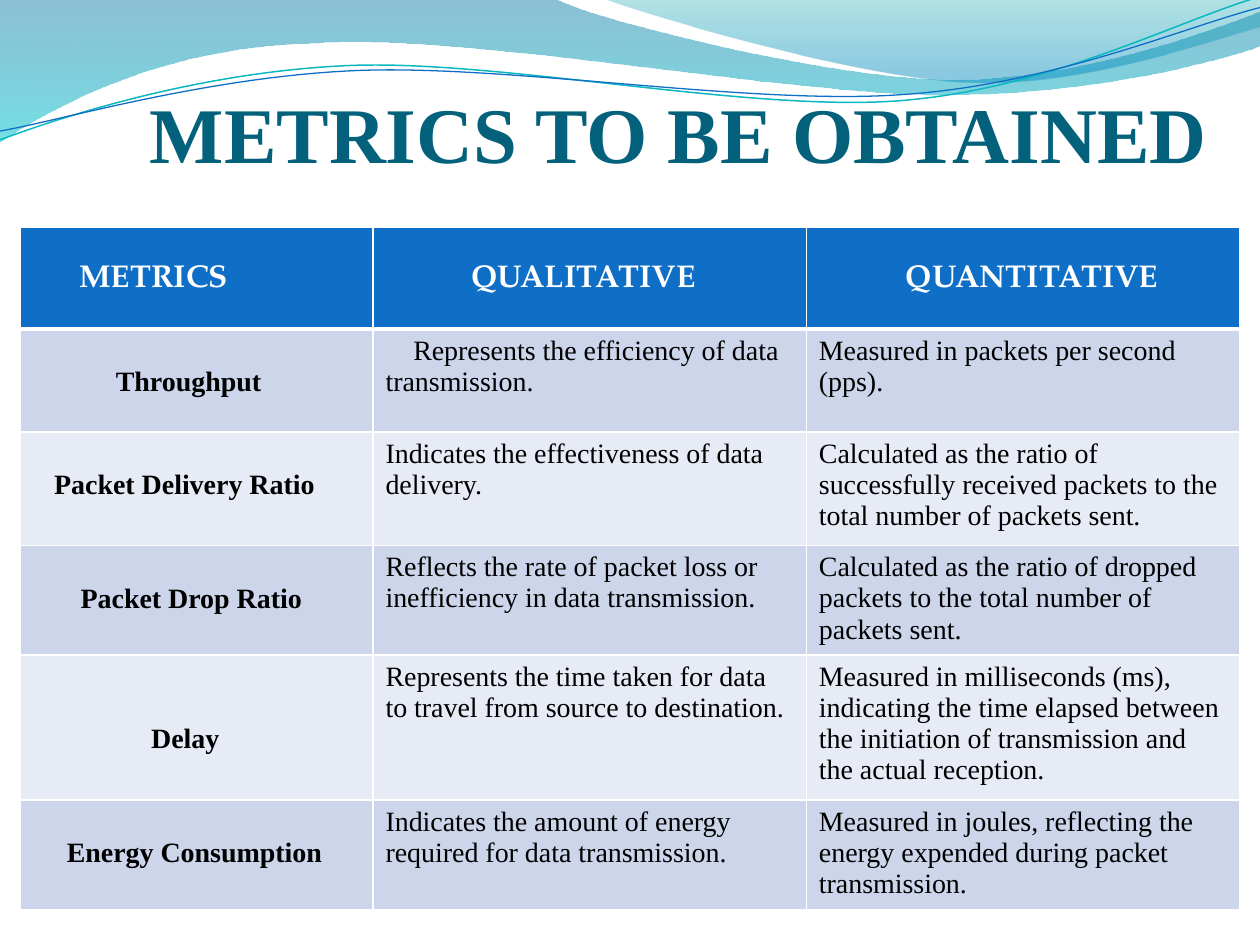
from dataclasses import dataclass
from math import cos, radians, sin

from lxml.etree import SubElement
from pptx import Presentation
from pptx.dml.color import RGBColor
from pptx.enum.text import MSO_ANCHOR
from pptx.oxml import parse_xml
from pptx.oxml.ns import nsdecls, qn
from pptx.util import Inches, Pt


@dataclass(frozen=True)
class Theme:
    serif: str = "Times New Roman"
    header_font: str = "TeX Gyre Pagella"
    title_size: float = 45
    header_size: float = 18
    body_size: float = 16
    title: str = "04617B"
    header_fill: str = "0F6FC6"
    header_text: str = "FFFFFF"
    border: str = "FFFFFF"
    body_text: str = "000000"
    bands: tuple = ("CCD5EA", "E7EBF5")
    # Gradient stops: position, colour, opacity in percent
    wide_wave: tuple = ((0, "0074A1", 45), (1, "00C6CF", 55))
    right_wave: tuple = ((0, "00A1A9", 30), (0.8, "008BBF", 45))
    teal_line: str = "0AB8BF"
    blue_line: str = "0F6FC6"


THEME = Theme()
LINE_TILT = -2.7

# A pair is a straight step, six numbers are a cubic curve.
WIDE_WAVE = [
    (0, 0), (4.4, -0.01),
    (4.76, 0.17, 6.64, 0.63, 7.58, 0.63), (8.53, 0.63, 9.58, 0.26, 10, 0.09),
    (10.01, 0.36),
    (9.83, 0.44, 8.7, 0.76, 7.46, 0.75), (6.22, 0.75, 3.82, 0.28, 2.57, 0.34),
    (1.29, 0.36, 0.46, 0.83, -0.01, 1.13), (0, 0),
]
RIGHT_WAVE = [
    (4.79, -0.01),
    (5.09, 0.11, 6.82, 0.62, 7.69, 0.65), (8.56, 0.69, 9.61, 0.32, 10, 0.21),
    (10, 0), (4.79, -0.01),
]
TEAL_LINE = [
    (0, 1.11),
    (0.48, 0.93, 1.58, 0.57, 2.77, 0.52), (3.95, 0.47, 5.93, 0.89, 7.13, 0.8),
    (8.33, 0.71, 9.38, 0.15, 9.98, -0.02),
]
BLUE_LINE = [
    (0, 1.04),
    (0.47, 0.96, 1.64, 0.61, 2.83, 0.56), (4.03, 0.51, 5.97, 0.84, 7.17, 0.75),
    (8.36, 0.67, 9.41, 0.21, 10, 0.06),
]

COLUMN_WIDTHS = (2.8, 3.44, 3.44)
ROW_HEIGHTS = (0.81, 0.82, 0.9, 0.87, 1.15, 0.87)
# Text and first-line indent of each header cell
HEADERS = (("METRICS", 0.37), ("QUALITATIVE", 0.68), ("QUANTITATIVE", 0.69))
# Metric, its indent, its top margin, qualitative text and indent, quantitative text
METRICS = (
    ("Throughput", 0.66, 0.3,
     "Represents the efficiency of data transmission.", 0.22,
     "Measured in packets per second (pps)."),
    ("Packet Delivery Ratio", 0.17, 0.3,
     "Indicates the effectiveness of data delivery.", 0,
     "Calculated as the ratio of successfully received packets to the total "
     "number of packets sent."),
    ("Packet Drop Ratio", 0.38, 0.3,
     "Reflects the rate of packet loss or inefficiency in data transmission.", 0,
     "Calculated as the ratio of dropped packets to the total number of packets sent."),
    ("Delay", 0.94, 0.54,
     "Represents the time taken for data to travel from source to destination.", 0,
     "Measured in milliseconds (ms), indicating the time elapsed between the "
     "initiation of transmission and the actual reception."),
    ("Energy Consumption", 0.27, 0.3,
     "Indicates the amount of energy required for data transmission.", 0,
     "Measured in joules, reflecting the energy expended during packet transmission."),
)


def color(value):
    return RGBColor.from_string(value)


def turn(point, angle, center=(4.99, 0.58)):
    x, y = point[0] - center[0], point[1] - center[1]
    cosine, sine = cos(radians(angle)), sin(radians(angle))
    return center[0] + x * cosine - y * sine, center[1] + x * sine + y * cosine


def add_outline(slide, steps, close, tilt=0):
    """Draw through all control points, then join each curve's three into a cubic."""
    points = [turn(step[index:index + 2], -tilt)
              for step in steps for index in range(0, len(step), 2)]
    points = [(Inches(x), Inches(y)) for x, y in points]
    builder = slide.shapes.build_freeform(*points[0])
    builder.add_line_segments(points[1:], close=close)
    shape = builder.convert_to_shape()
    shape.shadow.inherit = False
    shape.rotation = tilt
    segments = iter(list(shape.element.iter(qn("a:lnTo"))))
    for step in steps[1:]:
        first = next(segments)
        if len(step) == 6:
            curve = parse_xml(f"<a:cubicBezTo {nsdecls('a')}/>")
            first.addprevious(curve)
            for segment in (first, next(segments), next(segments)):
                curve.append(segment[0])
                segment.getparent().remove(segment)
    return shape


def add_wave(slide, steps, stops):
    shape = add_outline(slide, steps, close=True)
    shape.line.fill.background()
    shape.fill.gradient()
    shape.fill.gradient_angle = 270
    for stop, (position, value, _) in zip(shape.fill.gradient_stops, stops):
        stop.position = position
        stop.color.rgb = color(value)
    for element, (_, _, opacity) in zip(shape.element.iter(qn("a:srgbClr")), stops):
        SubElement(element, qn("a:alpha"), val=str(opacity * 1000))


def add_wave_line(slide, steps, value, width):
    shape = add_outline(slide, steps, close=False, tilt=LINE_TILT)
    shape.fill.background()
    shape.line.color.rgb = color(value)
    shape.line.width = Pt(width)


def format_text(paragraph, font_name, size, value, bold):
    for run in paragraph.runs:
        run.font.name = font_name
        run.font.size = Pt(size)
        run.font.color.rgb = color(value)
        run.font.bold = bold


def add_title(slide, text):
    shape = slide.shapes.add_textbox(Inches(1.19), Inches(0.77), Inches(9), Inches(0.65))
    frame = shape.text_frame
    frame.word_wrap = True
    frame.vertical_anchor = MSO_ANCHOR.BOTTOM
    frame.margin_left = frame.margin_right = frame.margin_bottom = 0
    frame.text = text
    format_text(frame.paragraphs[0], THEME.serif, THEME.title_size, THEME.title, True)


def set_borders(cell, widths):
    properties = cell._tc.get_or_add_tcPr()
    for index, (side, width) in enumerate(widths.items()):
        properties.insert(index, parse_xml(
            f'<a:ln{side} {nsdecls("a")} w="{Pt(width)}"><a:solidFill>'
            f'<a:srgbClr val="{THEME.border}"/></a:solidFill></a:ln{side}>'))


def fill_cell(cell, text, fill, indent=0, top=0.05, header=False, bold=False):
    cell.fill.solid()
    cell.fill.fore_color.rgb = color(fill)
    cell.margin_top = Inches(top)
    cell.margin_bottom = 0
    cell.text_frame.text = text
    paragraph = cell.text_frame.paragraphs[0]
    paragraph._p.get_or_add_pPr().set("indent", str(Inches(indent)))
    if header:
        format_text(paragraph, THEME.header_font, THEME.header_size, THEME.header_text, True)
    else:
        format_text(paragraph, THEME.serif, THEME.body_size, THEME.body_text, bold)
    set_borders(cell, {"L": 1, "R": 1, "T": 1, "B": 3 if header else 1})


def add_metrics_table(slide):
    table = slide.shapes.add_table(
        len(ROW_HEIGHTS), len(COLUMN_WIDTHS), Inches(0.16), Inches(1.8),
        Inches(sum(COLUMN_WIDTHS)), Inches(sum(ROW_HEIGHTS))).table
    for column, width in zip(table.columns, COLUMN_WIDTHS):
        column.width = Inches(width)
    for row, height in zip(table.rows, ROW_HEIGHTS):
        row.height = Inches(height)

    for row, metric in enumerate(METRICS, start=1):
        name, name_indent, name_top, qualitative, indent, quantitative = metric
        band = THEME.bands[(row - 1) % 2]
        fill_cell(table.cell(row, 0), name, band, name_indent, name_top, bold=True)
        fill_cell(table.cell(row, 1), qualitative, band, indent)
        fill_cell(table.cell(row, 2), quantitative, band)
    for index, (text, indent) in enumerate(HEADERS):
        fill_cell(table.cell(0, index), text, THEME.header_fill, indent, 0.3, header=True)
        set_borders(table.cell(1, index), {})


def main():
    presentation = Presentation()
    presentation.slide_width = Inches(10)
    presentation.slide_height = Inches(7.5)
    slide = presentation.slides.add_slide(presentation.slide_layouts[6])
    add_wave(slide, WIDE_WAVE, THEME.wide_wave)
    add_wave(slide, RIGHT_WAVE, THEME.right_wave)
    add_wave_line(slide, TEAL_LINE, THEME.teal_line, 0.85)
    add_wave_line(slide, BLUE_LINE, THEME.blue_line, 0.75)
    add_title(slide, "METRICS TO BE OBTAINED")
    add_metrics_table(slide)
    presentation.save("out.pptx")


if __name__ == "__main__":
    main()
